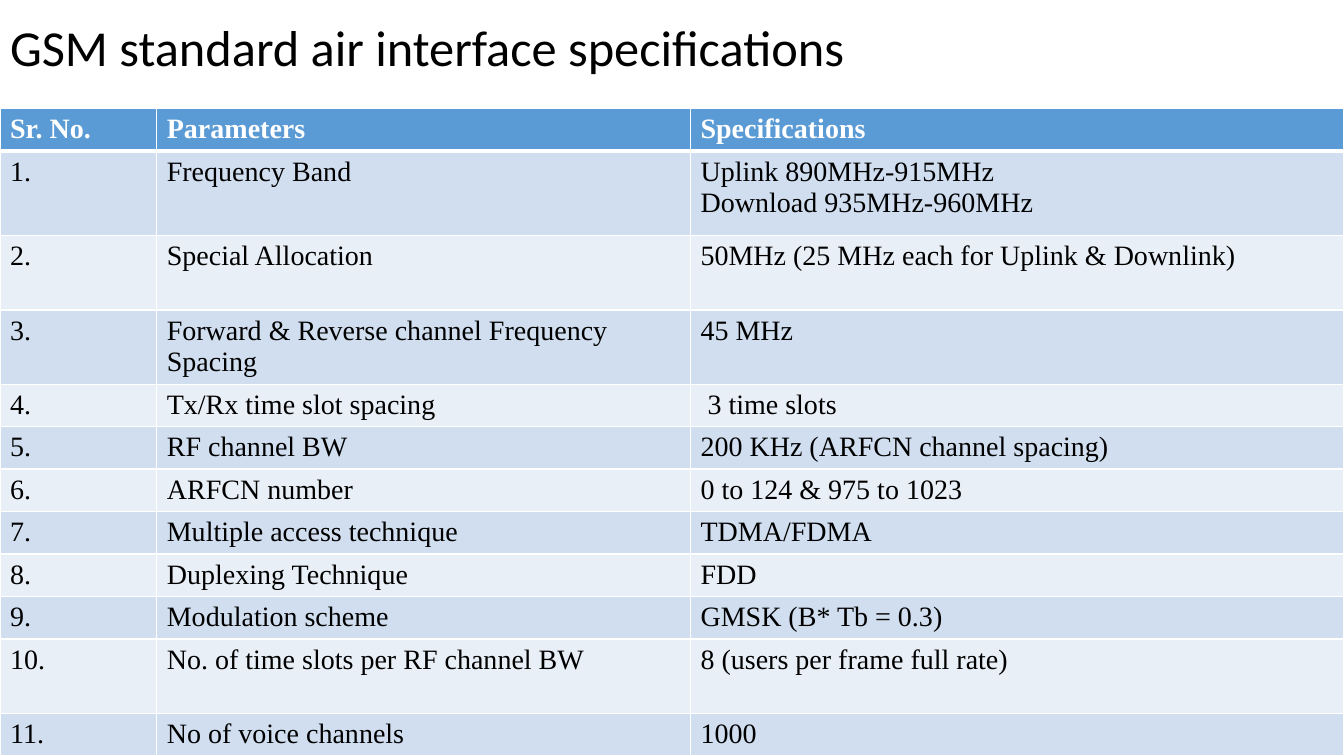
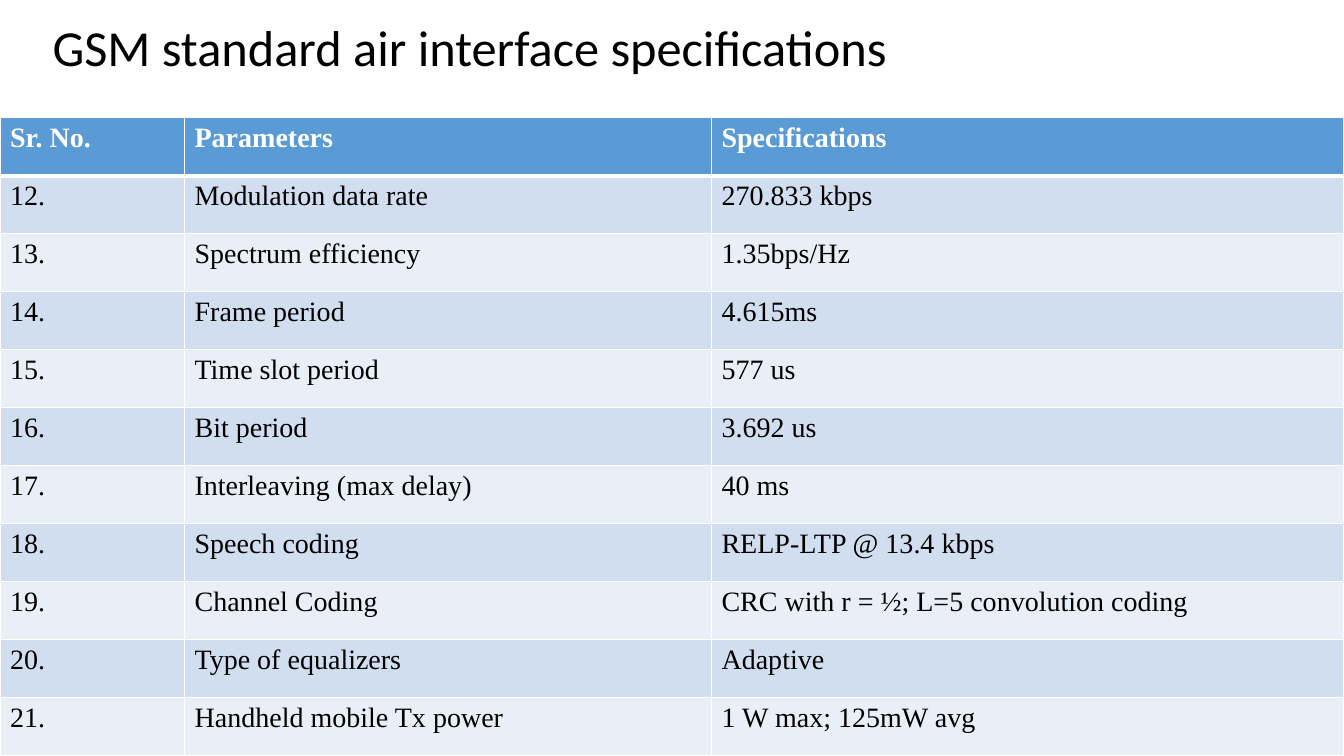
from lxml import etree
from pptx import Presentation
from pptx.dml.color import RGBColor
from pptx.enum.text import MSO_ANCHOR, MSO_AUTO_SIZE, PP_ALIGN
from pptx.oxml.ns import qn
from pptx.util import Cm, Pt

LEFT = PP_ALIGN.LEFT
MIDDLE = MSO_ANCHOR.MIDDLE
NO_FIT = MSO_AUTO_SIZE.NONE

BLACK = RGBColor(0x00, 0x00, 0x00)
WHITE = RGBColor(0xFF, 0xFF, 0xFF)
BLUE = RGBColor(0x5B, 0x9B, 0xD5)
DARK = RGBColor(0xD0, 0xDE, 0xEF)
LIGHT = RGBColor(0xE9, 0xEF, 0xF7)

WIDTH, HEIGHT = 33.87, 19.05
TITLE = "GSM standard air interface specifications"
HEAD = ("Sr. No.", "Parameters", "Specifications")
ROW = 1.07
TALL = 1.87

# Each slide: title box, table top, column widths, row heights, first number, rows
PAGES = [
    ((0, 0.28, 29.74, 1.98), 2.74, (3.95, 13.45, 16.47),
     [ROW, 2.13, TALL, TALL] + [ROW] * 6 + [TALL, ROW], 1, [
        ("Frequency Band", "Uplink 890MHz-915MHz\nDownload 935MHz-960MHz"),
        ("Special Allocation", "50MHz (25 MHz each for Uplink & Downlink)"),
        ("Forward & Reverse channel Frequency Spacing", "45 MHz"),
        ("Tx/Rx time slot spacing", " 3 time slots"),
        ("RF channel BW", "200 KHz (ARFCN channel spacing)"),
        ("ARFCN number", "0 to 124 & 975 to 1023"),
        ("Multiple access technique", "TDMA/FDMA"),
        ("Duplexing Technique", "FDD"),
        ("Modulation scheme", "GMSK (B* Tb = 0.3)"),
        ("No. of time slots per RF channel BW", "8 (users per frame full rate)"),
        ("No of voice channels", "1000"),
     ]),
    ((1.07, 0, 32.28, 2.54), 2.97, (4.65, 13.28, 15.94),
     [1.46] * 11, 12, [
        ("Modulation data rate", "270.833 kbps"),
        ("Spectrum efficiency", "1.35bps/Hz"),
        ("Frame period", "4.615ms"),
        ("Time slot period", "577 us"),
        ("Bit period", "3.692 us"),
        ("Interleaving (max delay)", "40 ms"),
        ("Speech coding", "RELP-LTP @ 13.4 kbps"),
        ("Channel Coding", "CRC with r = ½; L=5 convolution coding"),
        ("Type of equalizers", "Adaptive"),
        ("Handheld mobile Tx power", "1 W max; 125mW avg"),
     ]),
]


def add_run(para, text, font, size, color, bold=False):
    run = para.add_run()
    run.text = text
    run.font.name = font
    run.font.size = Pt(size)
    run.font.color.rgb = color
    run.font.bold = bold


def add_edges(cell, row):
    """Draw white cell borders, thicker between the header and the first row."""
    props = cell._tc.get_or_add_tcPr()
    wide = {(0, "B"), (1, "T")}
    for side in "LRTB":
        width = Pt(3 if (row, side) in wide else 1)
        line = etree.SubElement(props, qn("a:ln" + side), w=str(width))
        fill = etree.SubElement(line, qn("a:solidFill"))
        etree.SubElement(fill, qn("a:srgbClr"), val=str(WHITE))


deck = Presentation()
deck.slide_width = Cm(WIDTH)
deck.slide_height = Cm(HEIGHT)
layout = deck.slide_layouts[5]

for box, top, cols, heights, first, items in PAGES:
    slide = deck.slides.add_slide(layout)

    title = slide.shapes.title
    title.left, title.top, title.width, title.height = map(Cm, box)
    frame = title.text_frame
    frame.auto_size = NO_FIT
    frame.vertical_anchor = MIDDLE
    para = frame.paragraphs[0]
    para.alignment = LEFT
    para.line_spacing = 0.9
    add_run(para, TITLE, "Calibri", 36, BLACK)

    rows = [HEAD] + [(f"{num}.", *item) for num, item in enumerate(items, first)]
    table = slide.shapes.add_table(
        len(rows), len(cols), Cm(0), Cm(top), Cm(WIDTH), Cm(sum(heights))).table
    for col, width in zip(table.columns, cols):
        col.width = Cm(width)
    for r, texts in enumerate(rows):
        table.rows[r].height = Cm(heights[r])
        is_head = r == 0
        shade = BLUE if is_head else DARK if r % 2 else LIGHT
        ink = WHITE if is_head else BLACK
        for c, text in enumerate(texts):
            cell = table.cell(r, c)
            add_edges(cell, r)
            cell.fill.solid()
            cell.fill.fore_color.rgb = shade
            frame = cell.text_frame
            for i, line in enumerate(text.split("\n")):
                para = frame.add_paragraph() if i else frame.paragraphs[0]
                add_run(para, line, "Times New Roman", 20, ink, is_head)

deck.save("out.pptx")
